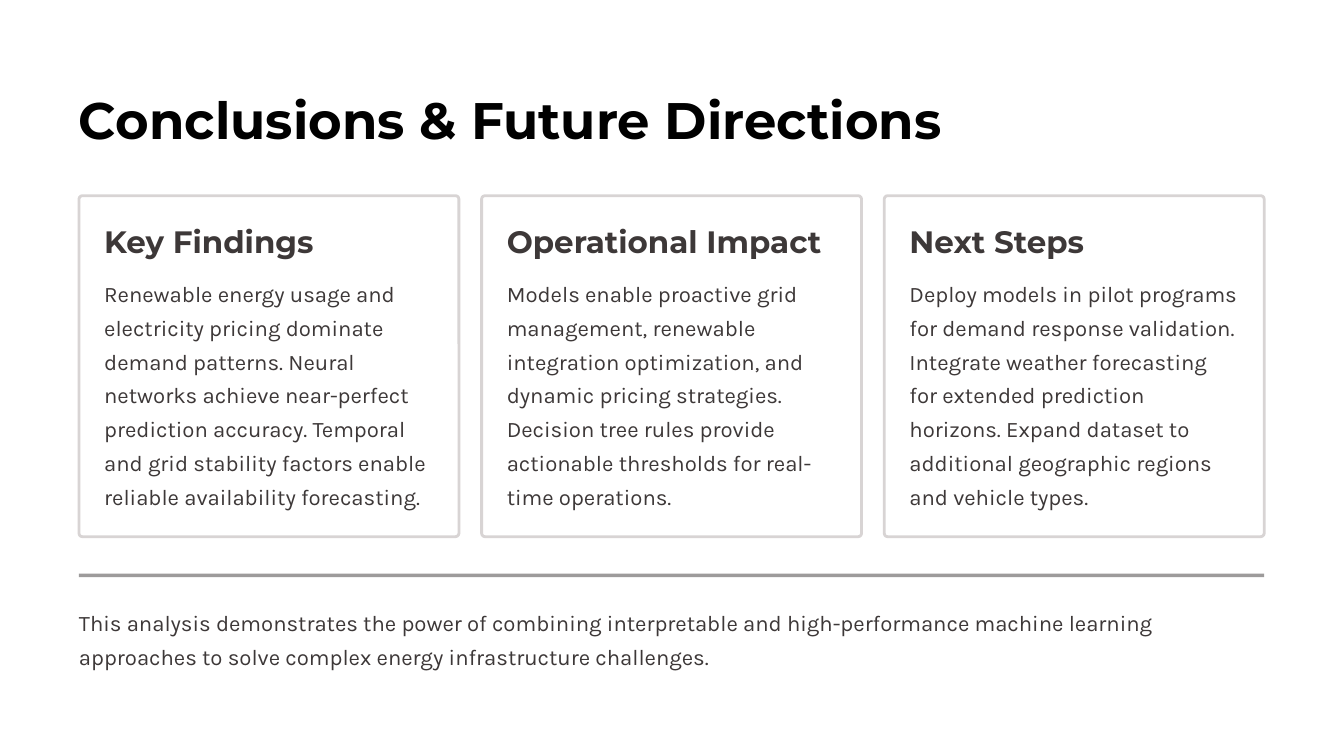
from pptx import Presentation
from pptx import util as u
from pptx.dml.color import RGBColor
from pptx.enum import shapes, text
from pptx.oxml.ns import qn
from lxml import etree

BLACK = RGBColor(0x00, 0x00, 0x00)
INK = RGBColor(0x3D, 0x38, 0x38)
EDGE = RGBColor(0xD8, 0xD4, 0xD4)
WHITE = RGBColor(0xFF, 0xFF, 0xFF)

WIDE, HIGH = 16, 9
LEFT = 0.94
SPAN = WIDE - 2 * LEFT - 0.01
GAP = 0.27
PAD = 0.3

TITLE = dict(name="Montserrat", size=44, bold=True, color=BLACK, lead=55)
HEAD = dict(name="Montserrat", size=26.5, bold=True, color=INK, lead=33)
BODY = dict(name="Karla", size=19, bold=False, color=INK, lead=29)

CARDS = [
    ("Key Findings",
     "Renewable energy usage and electricity pricing dominate demand patterns. "
     "Neural networks achieve near-perfect prediction accuracy. Temporal and grid "
     "stability factors enable reliable availability forecasting."),
    ("Operational Impact",
     "Models enable proactive grid management, renewable integration optimization, "
     "and dynamic pricing strategies. Decision tree rules provide actionable "
     "thresholds for real-time operations."),
    ("Next Steps",
     "Deploy models in pilot programs for demand response validation. Integrate "
     "weather forecasting for extended prediction horizons. Expand dataset to "
     "additional geographic regions and vehicle types."),
]
CLOSING = ("This analysis demonstrates the power of combining interpretable and "
           "high-performance machine learning approaches to solve complex energy "
           "infrastructure challenges.")


def write(shape, words, style, wrap=True):
    frame = shape.text_frame
    setup = dict(margin_left=0, margin_top=0, margin_right=0, margin_bottom=0,
                 word_wrap=wrap, auto_size=text.MSO_AUTO_SIZE.NONE,
                 vertical_anchor=text.MSO_ANCHOR.TOP)
    for key, value in setup.items():
        setattr(frame, key, value)
    para = frame.paragraphs[0]
    para.alignment = text.PP_ALIGN.LEFT
    para.line_spacing = u.Pt(style["lead"])
    run = para.add_run()
    run.text = words
    font = dict(name=style["name"], size=u.Pt(style["size"]), bold=style["bold"])
    for key, value in font.items():
        setattr(run.font, key, value)
    run.font.color.rgb = style["color"]


def label(slide, box, words, style, wrap=True):
    write(slide.shapes.add_textbox(*map(u.Inches, box)), words, style, wrap)


def block(slide, kind, box, fill):
    shape = slide.shapes.add_shape(kind, *map(u.Inches, box))
    shape.shadow.inherit = False
    shape.fill.solid()
    shape.fill.fore_color.rgb = fill
    shape.line.fill.background()
    return shape


def title(slide, box, words):
    holder = slide.shapes.title
    for key, value in zip(("left", "top", "width", "height"), box):
        setattr(holder, key, u.Inches(value))
    write(holder, words, TITLE, wrap=False)


def card(slide, box, head, body):
    x, y, w, h = box
    frame = block(slide, shapes.MSO_SHAPE.ROUNDED_RECTANGLE, box, WHITE)
    frame.adjustments[0] = 0.01
    frame.line.color.rgb = EDGE
    frame.line.width = u.Pt(2.4)
    inner = w - 2 * PAD
    label(slide, (x + PAD, y + PAD, inner, 0.46), head, HEAD, wrap=False)
    label(slide, (x + PAD, y + 0.92, inner, h - 0.92 - PAD), body, BODY)


def cards(slide, box):
    x, y, w, h = box
    wide = (w - GAP * (len(CARDS) - 1)) / len(CARDS)
    for i, (head, body) in enumerate(CARDS):
        card(slide, (x + i * (wide + GAP), y, wide, h), head, body)


def closing(slide, box):
    """Half-transparent rule with the summary below it."""
    x, y, w, h = box
    rule = block(slide, shapes.MSO_SHAPE.RECTANGLE, (x, y, w, 0.04), INK)
    tint = rule.fill._xPr.find(".//" + qn("a:srgbClr"))
    etree.SubElement(tint, qn("a:alpha")).set("val", "50000")
    label(slide, (x, y + 0.34, w, h - 0.34), CLOSING, BODY)


def main():
    deck = Presentation()
    deck.slide_width, deck.slide_height = u.Inches(WIDE), u.Inches(HIGH)
    slide = deck.slides.add_slide(deck.slide_layouts[5])
    slide.background.fill.solid()
    slide.background.fill.fore_color.rgb = WHITE
    title(slide, (LEFT, 1.02, 10.3, 0.77), "Conclusions & Future Directions")
    cards(slide, (LEFT, 2.33, SPAN, 4.06))
    closing(slide, (LEFT, 6.83, SPAN, 1.15))
    deck.save("out.pptx")


if __name__ == "__main__":
    main()
